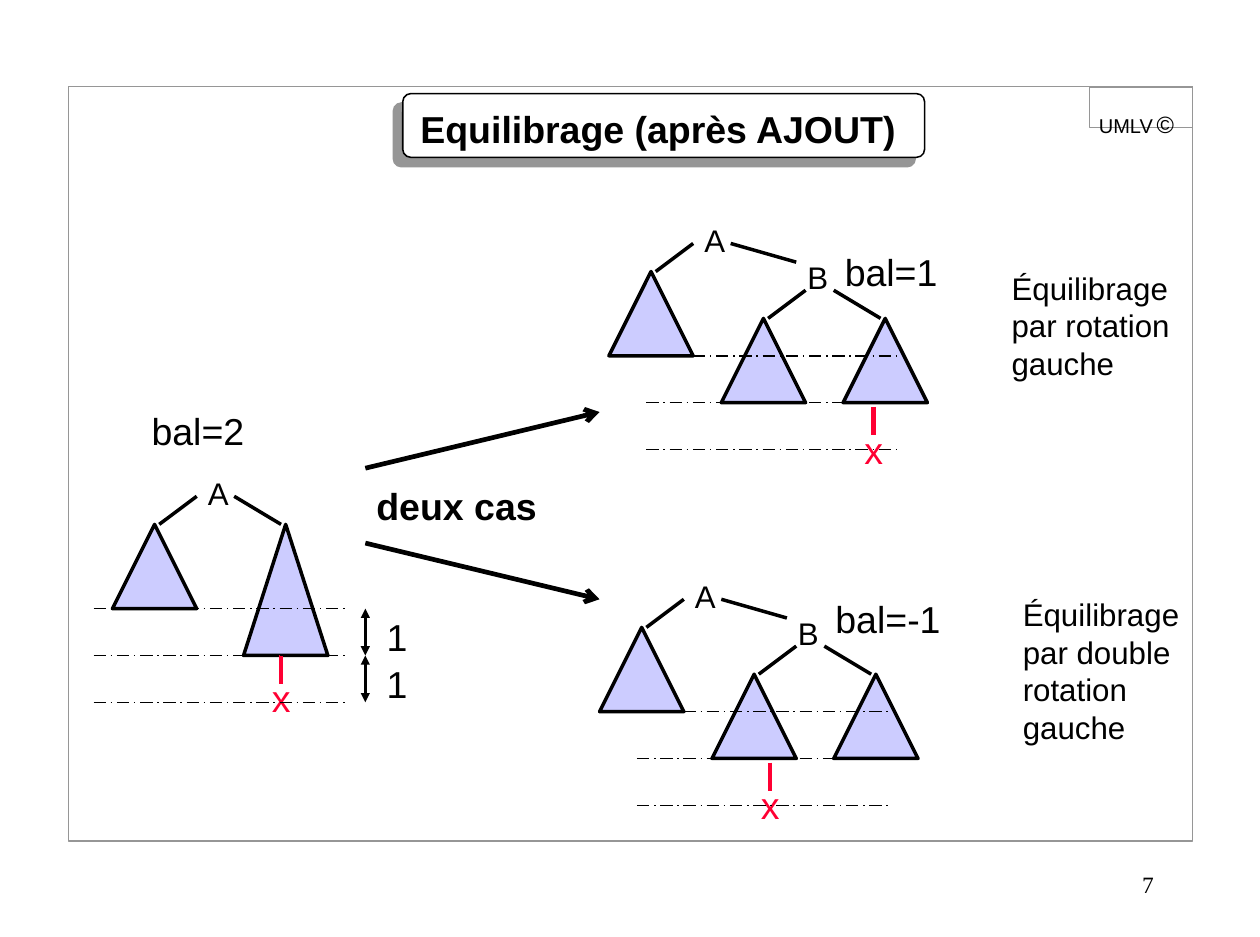
from dataclasses import dataclass

from lxml.etree import SubElement
from pptx import Presentation
from pptx.dml.color import RGBColor
from pptx.enum.dml import MSO_LINE
from pptx.enum.shapes import MSO_CONNECTOR as Conn, MSO_SHAPE as Kind
from pptx.enum.text import MSO_ANCHOR as Anchor, MSO_AUTO_SIZE as Auto, PP_ALIGN as Align
from pptx.oxml.ns import qn
from pptx.shapes.autoshape import Shape
from pptx.util import Cm, Pt

HUE = {"ink": "000000", "paper": "FFFFFF", "gray": "969696",
       "fill": "CCCCFF", "red": "FF0033"}
STEP = 2.54 / 12  # grid step in centimetres


@dataclass
class Run:
    text: str
    size: float = 24
    bold: bool = False
    hue: str = "ink"
    font: str = "Arial"
    base: int = 0


@dataclass
class Label:
    x: float
    y: float
    w: float
    h: float
    lines: list[list[Run]]
    pad: float = 0.25
    right: bool = False


@dataclass
class Line:
    x1: float
    y1: float
    x2: float
    y2: float
    width: float = 2.25
    hue: str = "ink"
    dash: bool = False
    head: str = ""
    tail: str = ""


@dataclass
class Box:
    x: float
    y: float
    w: float
    h: float
    kind: Kind = Kind.ISOSCELES_TRIANGLE
    fill: str = "fill"
    hue: str = "ink"
    width: float = 2.25


def grid(n: float) -> Cm:
    return Cm(n * STEP)


def color(name: str) -> RGBColor:
    return RGBColor.from_string(HUE[name])


def add_box(box: Box) -> Shape:
    shape = slide.shapes.add_shape(box.kind, *map(grid, (box.x, box.y, box.w, box.h)))
    shape.shadow.inherit = False
    if box.fill:
        shape.fill.solid()
        shape.fill.fore_color.rgb = color(box.fill)
    else:
        shape.fill.background()
    shape.line.color.rgb = color(box.hue)
    shape.line.width = Pt(box.width)
    return shape


def add_line(line: Line) -> None:
    link = slide.shapes.add_connector(
        Conn.STRAIGHT, *map(grid, (line.x1, line.y1, line.x2, line.y2)))
    link.line.color.rgb = color(line.hue)
    link.line.width = Pt(line.width)
    if line.dash:
        link.line.dash_style = MSO_LINE.LONG_DASH_DOT
    props = link._element.spPr
    for tag, end in (("a:headEnd", line.head), ("a:tailEnd", line.tail)):
        if end:
            SubElement(props.find(qn("a:ln")), qn(tag), type=end)
    SubElement(props, qn("a:effectLst"))


def add_label(label: Label) -> None:
    box = slide.shapes.add_textbox(*map(grid, (label.x, label.y, label.w, label.h)))
    frame = box.text_frame
    frame.word_wrap = False
    frame.auto_size = Auto.NONE if label.right else Auto.SHAPE_TO_FIT_TEXT
    frame.vertical_anchor = Anchor.MIDDLE if label.right else Anchor.TOP
    frame.margin_left = frame.margin_right = Cm(label.pad)
    frame.margin_top = frame.margin_bottom = Cm(0.13)
    for i, runs in enumerate(label.lines):
        para = frame.add_paragraph() if i else frame.paragraphs[0]
        para.alignment = Align.RIGHT if label.right else Align.LEFT
        for item in runs:
            run = para.add_run()
            run.text = item.text
            font = run.font
            font.size, font.bold, font.name = Pt(item.size), item.bold, item.font
            font.color.rgb = color(item.hue)
            if item.base:
                run._r.get_or_add_rPr().set("baseline", str(item.base * 1000))


def add_word(x: float, y: float, w: float, text: str, size: float = 24,
             bold: bool = False, hue: str = "ink") -> None:
    add_label(Label(x, y, w, size / 4, [[Run(text, size, bold, hue)]]))


def add_node(x: float, y: float, name: str) -> None:
    add_word(x, y, 4.7, name, 20)


def add_leaf(x: float, y: float) -> None:
    """Red stem with the added element x below it."""
    add_line(Line(x, y, x, y + 3, 3, "red"))
    add_word(x - 2.16, y + 1.5, 4.3, "x", hue="red")


def add_levels(x: float, y: float) -> None:
    for i in range(3):
        add_line(Line(x, y + 5 * i, x + 27, y + 5 * i, 1, dash=True))


def add_case(x: float, y: float, leaf: float) -> None:
    """Tree with root A and right child B; leaf is the offset of x."""
    add_node(x, y, "A")
    add_node(x + 11, y + 4, "B")
    for dx, dy in ((-9, 6), (3, 11), (16, 11)):
        add_box(Box(x + dx, y + dy, 9, 9))
    for x1, y1, x2, y2 in ((0, 3, -4, 6), (4, 3, 11, 5), (12, 8, 8, 11), (15, 8, 20, 11)):
        add_line(Line(x + x1, y + y1, x + x2, y + y2))
    add_leaf(x + leaf, y + 20.45)
    add_levels(x - 5, y + 15)


def add_start() -> None:
    """Unbalanced tree with its two height marks."""
    add_node(21, 50, "A")
    add_box(Box(12, 56, 9, 9))
    add_box(Box(26, 56, 9, 14))
    add_line(Line(21, 53, 17, 56))
    add_line(Line(25, 53, 30, 56))
    add_leaf(30, 70)
    add_levels(10, 65)
    for y in (65, 70):
        add_line(Line(39, y, 39, y + 5, 1.5, head="triangle", tail="triangle"))
        add_word(40.1, y, 4.5, "1")


def add_title() -> None:
    plate = add_box(Box(43, 10, 55.7, 6.8, Kind.ROUNDED_RECTANGLE, "paper", width=1))
    plate.adjustments[0] = 0.125
    effects = plate._element.spPr.find(qn("a:effectLst"))
    shadow = SubElement(effects, qn("a:outerShdw"), dist=str(Pt(8.5)),
                        dir=str(135 * 60000), algn="ctr", rotWithShape="0")
    SubElement(shadow, qn("a:srgbClr"), val=HUE["gray"])
    add_word(43.7, 10.7, 53.3, "Equilibrage (après AJOUT)", bold=True)


def add_frame() -> None:
    for place in ((116.3, 9.3, 11, 4.3), (7.3, 9.25, 120, 80.6)):
        add_box(Box(*place, Kind.RECTANGLE, "", "gray", 1))
    mark = [Run("UMLV", 22, base=-6), Run(" ", 18, font="Times New Roman", base=-6),
            Run("©", 26, base=-6)]
    add_label(Label(116, 9.05, 10.8, 6.5, [mark], 0.28))
    page = [Run("7", 15, font="Times New Roman")]
    add_label(Label(96.4, 91.1, 28.1, 6.7, [page], 0.28, True))


def add_texts() -> None:
    for x, y, w, lines in (
            (106.8, 28.15, 19.3, ("Équilibrage", "par rotation", "gauche")),
            (108, 63, 19.1, ("Équilibrage", "par double", "rotation", "gauche"))):
        add_label(Label(x, y, w, 1.2 + 4 * len(lines), [[Run(t, 20)] for t in lines]))
    for x, y, w, text in ((15, 43, 12.4, "bal=2"), (89, 26, 12.4, "bal=1"),
                          (88, 63, 13.7, "bal=-1")):
        add_word(x, y, w, text)


def add_arrows() -> None:
    for y1, y2 in ((50, 44), (58, 64)):
        add_line(Line(39, y1, 64, y2, 3, tail="arrow"))
    add_word(39, 51, 19.5, "deux cas", bold=True)


deck = Presentation()
deck.slide_width = Cm(28.47)
deck.slide_height = Cm(21.18)
slide = deck.slides.add_slide(deck.slide_layouts[6])
add_frame()
add_title()
add_arrows()
add_start()
add_case(74, 23, 19.24)
add_case(73, 61, 9.2)
add_texts()
deck.save("out.pptx")
